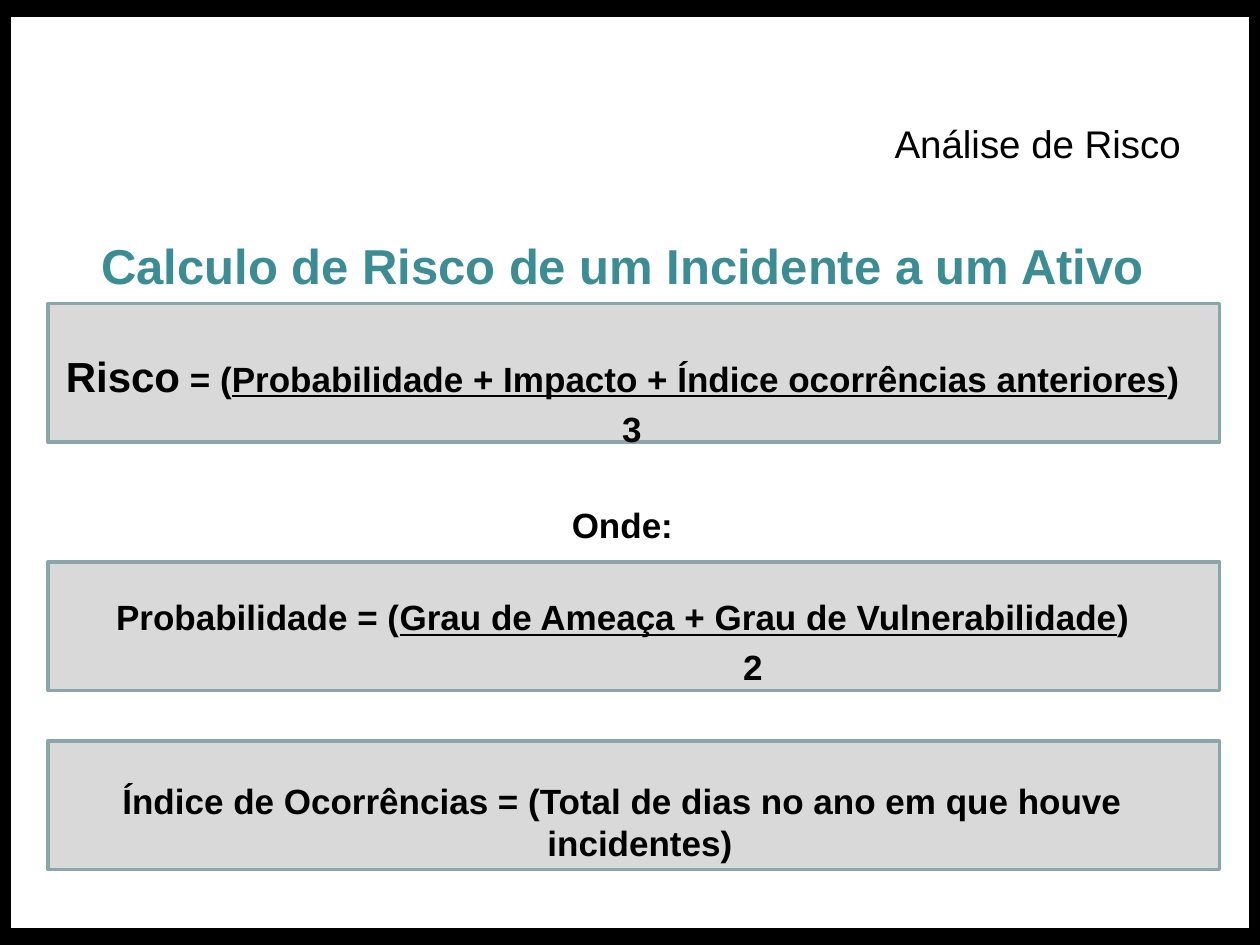
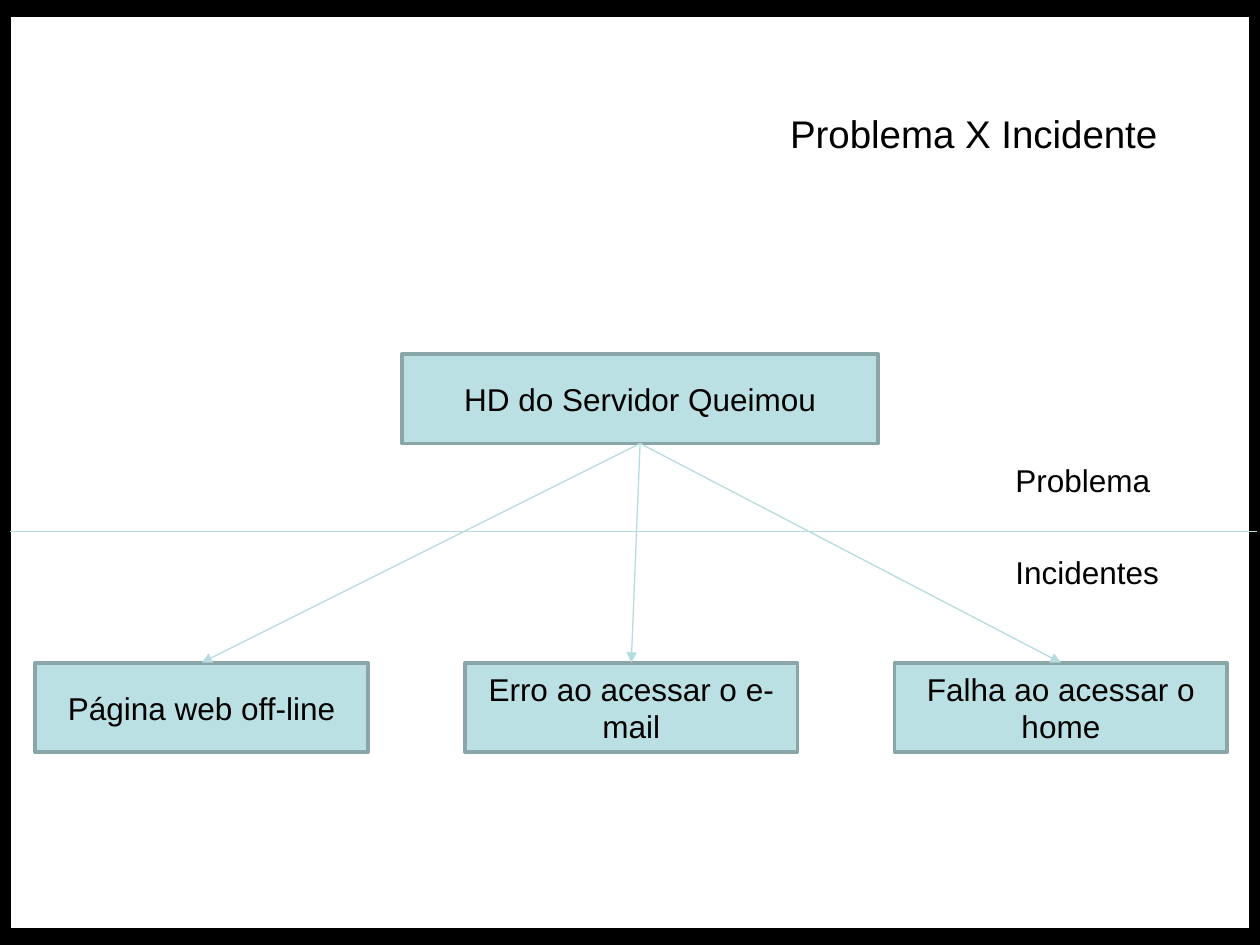
"""Build two slides on risk calculation and on problems versus incidents."""
from dataclasses import dataclass

import pptx
import pptx.dml.color
import pptx.enum.shapes
import pptx.enum.text
import pptx.util
from lxml import etree
from pptx.util import Inches, Pt


@dataclass(frozen=True)
class Theme:
    font: str = "Arial"
    ink: str = "000000"
    heading: str = "3C8C93"
    panel: str = "D9D9D9"
    node: str = "BBE0E3"
    border: str = "8AA6A8"
    link: str = "B6DCDF"
    title_size: int = 22
    heading_size: int = 28
    result_size: int = 24
    formula_size: int = 20
    label_size: int = 18


theme = Theme()
rgb = pptx.dml.color.RGBColor.from_string
rectangle = pptx.enum.shapes.MSO_SHAPE.RECTANGLE
straight = pptx.enum.shapes.MSO_CONNECTOR.STRAIGHT
anchor = pptx.enum.text.MSO_ANCHOR
align = pptx.enum.text.PP_ALIGN


def add_box(slide, place, fill, line, weight):
    box = slide.shapes.add_shape(rectangle, *map(Inches, place))
    box.shadow.inherit = False
    box.fill.solid()
    box.fill.fore_color.rgb = rgb(fill)
    box.line.color.rgb = rgb(line)
    box.line.width = Pt(weight)
    return box


def style(paragraph, size, color=theme.ink, bold=False, alignment=align.LEFT):
    paragraph.alignment = alignment
    paragraph.font.name = theme.font
    paragraph.font.size = Pt(size)
    paragraph.font.bold = bold
    paragraph.font.color.rgb = rgb(color)


deck = pptx.Presentation()
deck.slide_width, deck.slide_height = Inches(10), Inches(7.5)

frame_bands = [(0, 7.37, 10, 0.13), (9.92, 0, 0.12, 7.5), (-0.04, 0, 0.12, 7.5), (0, 0, 10, 0.13)]
titles = [("Análise de Risco", (7, 0.9, 2.5, 0.47)), ("Problema X Incidente", (6.17, 0.82, 3.15, 0.47))]
slides = []
for wording, place in titles:
    slide = deck.slides.add_slide(deck.slide_layouts[5])
    for band in frame_bands:
        add_box(slide, band, theme.ink, theme.ink, 0.75)
    title = slide.shapes.title
    title.left, title.top, title.width, title.height = map(Inches, place)
    title.text_frame.text = wording
    title.text_frame.word_wrap = False
    title.text_frame.auto_size = pptx.enum.text.MSO_AUTO_SIZE.NONE
    title.text_frame.vertical_anchor = anchor.TOP
    style(title.text_frame.paragraphs[0], theme.title_size)
    slides.append(slide)
risk_slide, incident_slide = slides

panel_left, panel_width, right_inset = 0.38, 9.3, 0.18
captions = [
    ("Calculo de Risco de um Incidente a um Ativo", 1.82, 0.6, theme.heading_size, theme.heading),
    ("Onde:", 3.95, 0.42, theme.formula_size, theme.ink),
]
for wording, top, height, size, color in captions:
    caption = risk_slide.shapes.add_textbox(*map(Inches, (panel_left, top, panel_width, height)))
    caption.text_frame.word_wrap = True
    caption.text_frame.margin_left, caption.text_frame.margin_right = 0, Inches(right_inset)
    caption.text_frame.text = wording
    style(caption.text_frame.paragraphs[0], size, color, True, align.CENTER)

formulas = [
    (2.41, 1.1, 0.37, "Risco", " = (", "Probabilidade + Impacto + Índice ocorrências anteriores", ")", "3", 0.15),
    (4.46, 1.02, 0.27, "", "Probabilidade = (", "Grau de Ameaça + Grau de Vulnerabilidade", ")", "2", 2.07),
    (5.88, 1.02, 0.31, "", "Índice de Ocorrências = (Total de dias no ano em que houve incidentes)", "", "", "", 0),
]
for top, height, inset, result, opening, dividend, closing, divisor, shift in formulas:
    panel = add_box(risk_slide, (panel_left, top, panel_width, height), theme.panel, theme.border, 2)
    formula = panel.text_frame
    formula.word_wrap = True
    formula.vertical_anchor = anchor.TOP
    formula.margin_left, formula.margin_right = 0, Inches(right_inset)
    formula.margin_top, formula.margin_bottom = Inches(inset), 0
    equation = formula.paragraphs[0]
    properties = equation._p.get_or_add_pPr()
    properties.set("marL", str(Inches(0.28)))
    properties.set("indent", str(Inches(-0.28)))
    style(equation, theme.formula_size, bold=True, alignment=align.CENTER)
    for part in filter(None, (result, opening, dividend, closing)):
        run = equation.add_run()
        run.text = part
        if part == result:
            run.font.size = Pt(theme.result_size)
        if part == dividend:
            run.font.underline = True
    if divisor:
        below = formula.add_paragraph()
        below.text = divisor
        below.space_before = Pt(4)
        below._p.get_or_add_pPr().set("marL", str(Inches(shift)))
        style(below, theme.formula_size, bold=True, alignment=align.CENTER)

incidents = ["Página web off-line", "Erro ao acessar o e-mail", "Falha ao acessar o home"]
node_places = [("HD do Servidor Queimou", (3.19, 2.81, 3.78, 0.71))]
node_places += [(name, (0.28 + 3.41 * i, 5.26, 2.64, 0.71)) for i, name in enumerate(incidents)]
nodes = []
for wording, place in node_places:
    node = add_box(incident_slide, place, theme.node, theme.border, 2)
    node.text_frame.word_wrap = True
    node.text_frame.vertical_anchor = anchor.MIDDLE
    node.text_frame.text = wording
    style(node.text_frame.paragraphs[0], theme.label_size, alignment=align.CENTER)
    nodes.append(node)
problem, *effects = nodes

divider = incident_slide.shapes.add_connector(straight, *map(Inches, (0.08, 4.22, 9.98, 4.22)))
arrows = []
for effect in effects:
    arrow = incident_slide.shapes.add_connector(straight, 0, 0, 0, 0)
    arrow.begin_connect(problem, 2)
    arrow.end_connect(effect, 0)
    arrows.append(arrow)
drawing = "{http://schemas.openxmlformats.org/drawingml/2006/main}"
for link in [divider, *arrows]:
    link.line.color.rgb = rgb(theme.link)
    link.line.width = Pt(0.75)
    if link is not divider:
        etree.SubElement(link.line._get_or_add_ln(), drawing + "tailEnd", type="triangle")
    etree.SubElement(link._element.spPr, drawing + "effectLst")

for wording, top, width in [("Problema", 3.61, 1.28), ("Incidentes", 4.34, 1.35)]:
    side = incident_slide.shapes.add_textbox(*map(Inches, (7.96, top, width, 0.4)))
    side.text_frame.word_wrap = False
    side.text_frame.text = wording
    style(side.text_frame.paragraphs[0], theme.label_size)

deck.save("out.pptx")
